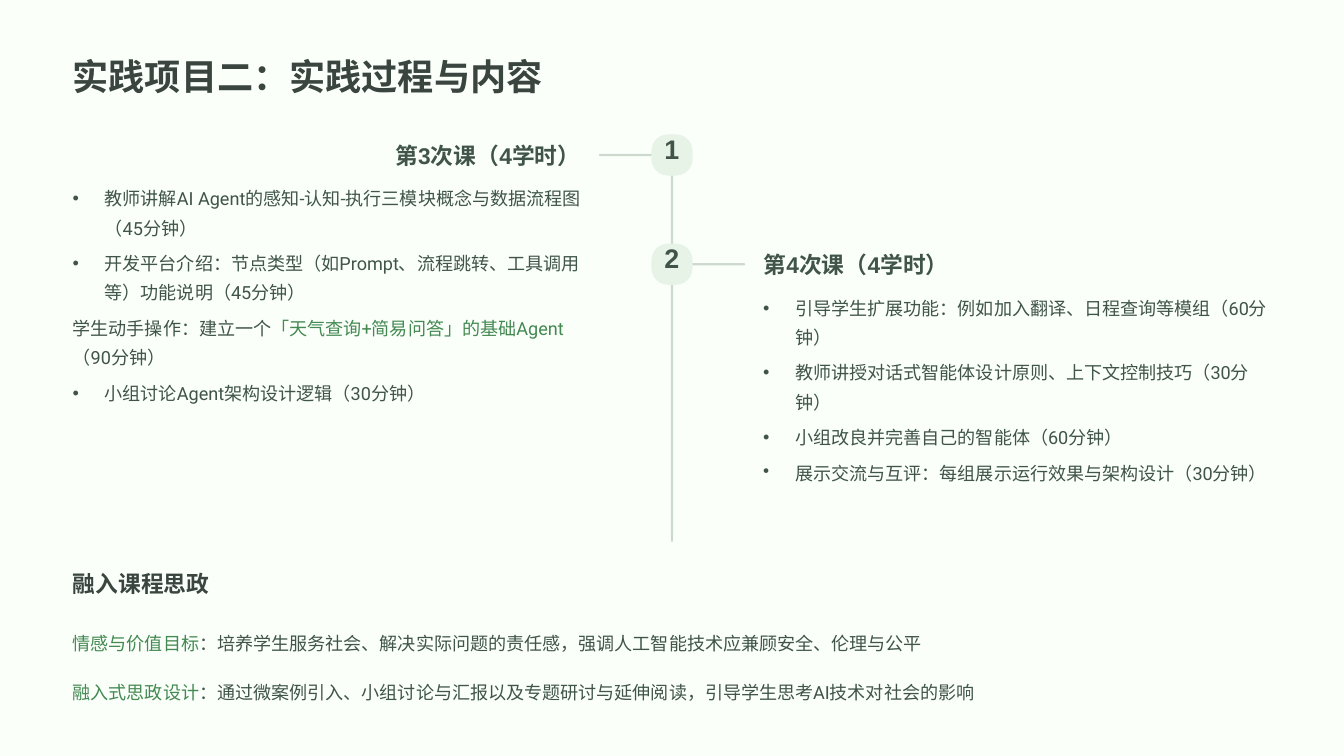
from pptx import Presentation, util as u
from pptx.dml.color import RGBColor
from pptx.enum import shapes, text
from pptx.oxml.ns import qn
from lxml import etree

HUE = {"page": "FAFFFA", "title": "3B4540", "body": "405449",
       "key": "438951", "line": "CED9CE", "node": "E8F3E8"}
LEFT, MID, RIGHT = (text.PP_ALIGN.LEFT, text.PP_ALIGN.CENTER,
                    text.PP_ALIGN.RIGHT)

TITLE = "实践项目二：实践过程与内容"
STEPS = [
    {"num": "1", "name": "第3次课（4学时）", "top": 115.2, "head": 302.4,
     "list": 62.3, "arm": 513.4, "align": RIGHT, "items": [
        [("教师讲解AI Agent的感知-认知-执行三模块概念与数据流程图（45分钟）", "body")],
        [("开发平台介绍：节点类型（如Prompt、流程跳转、工具调用等）功能说明（45分钟）", "body")],
        [("学生动手操作：建立一个", "body"),
         ("「天气查询+简易问答」的基础Agent", "key"),
         ("（90分钟）", "body")],
        [("小组讨论Agent架构设计逻辑（30分钟）", "body")]]},
    {"num": "2", "name": "第4次课（4学时）", "top": 208.8, "head": 654.5,
     "list": 654.2, "arm": 591.8, "align": LEFT, "items": [
        [("引导学生扩展功能：例如加入翻译、日程查询等模组（60分钟）", "body")],
        [("教师讲授对话式智能体设计原则、上下文控制技巧（30分钟）", "body")],
        [("小组改良并完善自己的智能体（60分钟）", "body")]]},
]
SHOW = [("展示交流与互评：每组展示运行效果与架构设计（30分钟）", "body")]
GOALS = "融入课程思政"
NOTES = [
    [("情感与价值目标", "key"),
     ("：培养学生服务社会、解决实际问题的责任感，强调人工智能技术应兼顾安全、伦理与公平", "body")],
    [("融入式思政设计", "key"),
     ("：通过微案例引入、小组讨论与汇报以及专题研讨与延伸阅读，引导学生思考AI技术对社会的影响", "body")],
]
FONTS = {
    "title": {"name": "Arial", "size": u.Pt(31), "bold": True},
    "head": {"name": "Arial", "size": u.Pt(19.5), "bold": True},
    "num": {"name": "Arial", "size": u.Pt(23), "bold": True},
    "body": {"name": "Roboto", "size": u.Pt(15.5), "bold": False},
}
PITCH = {"title": 39, "head": 24, "num": 23, "body": 25}
EDGE, NODE, BAR, GAP = 62.3, 35.3, 1.8, 5.5


def put(obj, vals):
    for key, val in vals.items():
        setattr(obj, key, val)


def place(box, left, top, wide, high):
    put(box, {"left": u.Pt(left), "top": u.Pt(top),
              "width": u.Pt(wide), "height": u.Pt(high)})
    return box


def mark(para, dot):
    prop = para._p.get_or_add_pPr()
    step = u.Pt(27.4) if dot else 0
    prop.set("marL", str(step))
    prop.set("indent", str(-step))
    tag = etree.SubElement(prop, qn("a:buChar" if dot else "a:buNone"))
    if dot:
        tag.set("char", "•")


def write(box, paras, style, align=LEFT, gap=0, dots=False):
    frame = box.text_frame
    put(frame, {"margin_left": 0, "margin_right": 0, "margin_bottom": 0,
                "margin_top": 0, "word_wrap": True,
                "auto_size": text.MSO_AUTO_SIZE.NONE,
                "vertical_anchor": text.MSO_ANCHOR.TOP})
    for i, runs in enumerate(paras):
        para = frame.add_paragraph() if i else frame.paragraphs[0]
        mark(para, dots and len(runs) == 1)
        put(para, {"alignment": align, "line_spacing": u.Pt(PITCH[style]),
                   "space_before": u.Pt(0), "space_after": u.Pt(gap)})
        for words, hue in runs:
            run = para.add_run()
            run.text = words
            put(run.font, FONTS[style])
            run.font.color.rgb = RGBColor.from_string(HUE[hue])


def block(left, top, wide, high, hue, bend):
    kind = shapes.MSO_SHAPE.ROUNDED_RECTANGLE
    box = place(slide.shapes.add_shape(kind, 0, 0, 0, 0), left, top, wide, high)
    box.adjustments[0] = bend
    box.shadow.inherit = False
    box.fill.solid()
    box.fill.fore_color.rgb = RGBColor.from_string(HUE[hue])
    box.line.fill.background()


def label(left, top, wide, high, *args, **more):
    box = place(slide.shapes.add_textbox(0, 0, 0, 0), left, top, wide, high)
    write(box, *args, **more)


deck = Presentation()
put(deck, {"slide_width": u.Pt(1152), "slide_height": u.Pt(648)})
slide = deck.slides.add_slide(deck.slide_layouts[4])
back = slide.background.fill
back.solid()
back.fore_color.rgb = RGBColor.from_string(HUE["page"])

write(place(slide.shapes.title, EDGE, 44.6, 800, 39), [[(TITLE, "title")]], "title")
block(576 - BAR / 2, 115.2, BAR, 349.2, "line", 0.5)
for i, step in enumerate(STEPS):
    top = step["top"]
    head, body = (slide.placeholders[2 * i + n] for n in (1, 2))
    block(step["arm"], top + 16.8, 46.8, BAR, "line", 0.5)
    block(576 - NODE / 2, top, NODE, NODE, "node", 0.4)
    label(564.1, top + 2.9, 23.8, 29.5, [[(step["num"], "body")]], "num", MID)
    place(head, step["head"], top + 5.4, 195.2, 24.5)
    write(head, [[(step["name"], "body")]], "head", step["align"])
    place(body, step["list"], top + 39.4, 435.6, 191.5 if i == 0 else 136)
    write(body, step["items"], "body", gap=GAP, dots=True)

last = STEPS[-1]
label(last["list"], last["top"] + 39.4 + 5 * PITCH["body"] + 3 * GAP, 455, 25,
      [SHOW], "body", dots=True)
label(EDGE, 487.4, 195.2, 24.5, [[(GOALS, "title")]], "head")
label(EDGE, 535.7, 1026.8, 68, NOTES, "body", gap=17.3)

deck.save("out.pptx")
